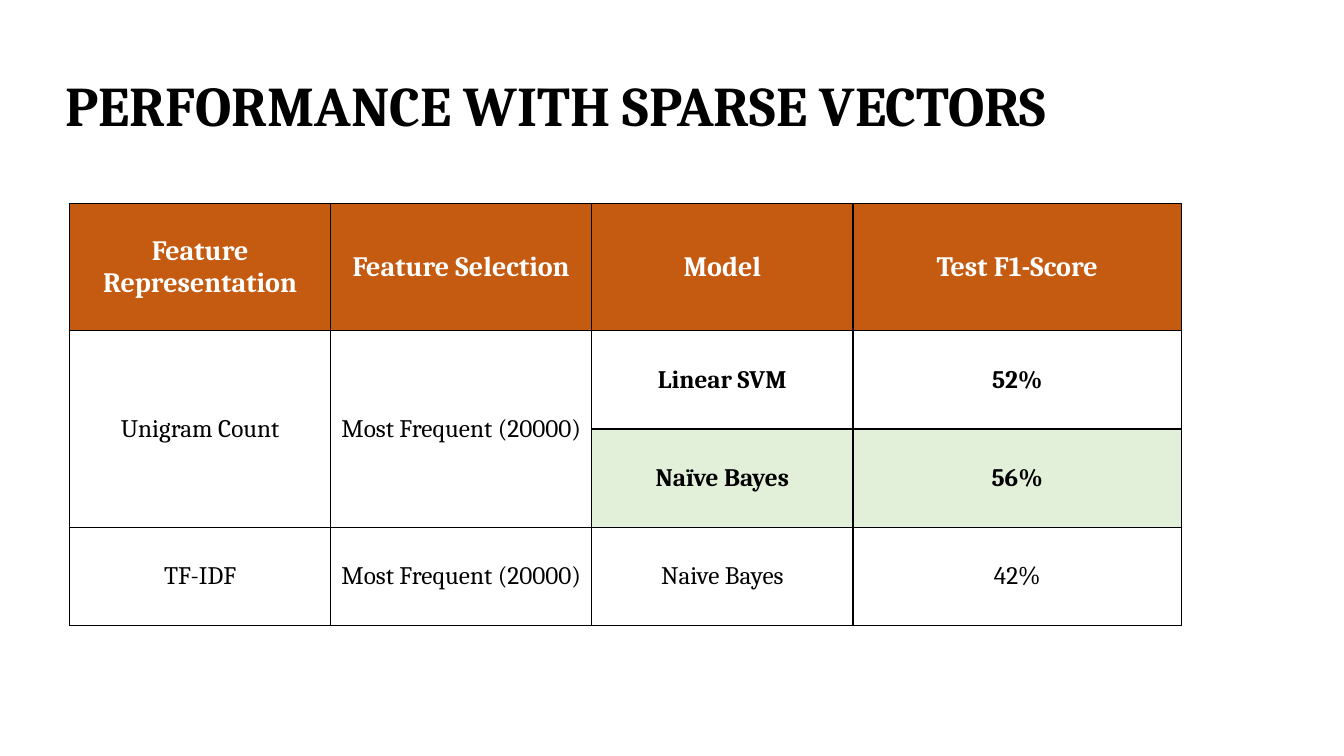
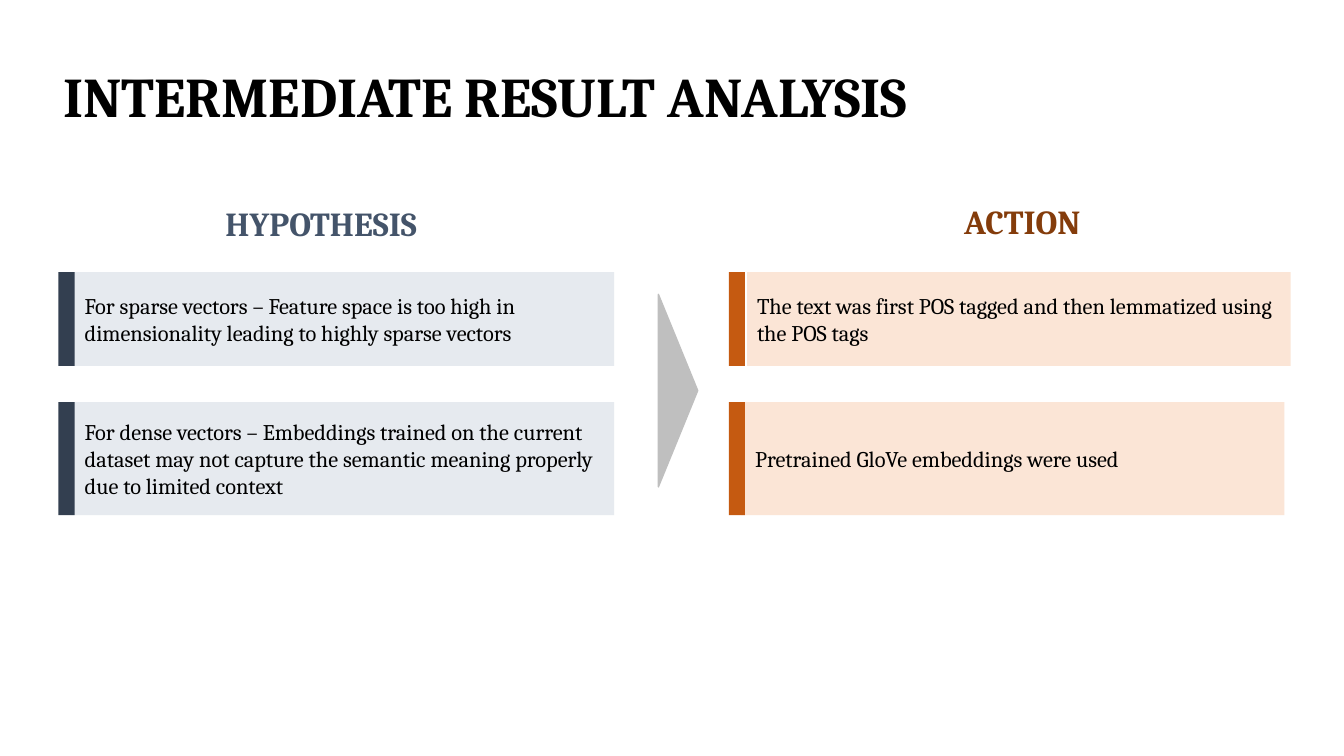
from lxml.etree import SubElement
from pptx import Presentation
from pptx.dml.color import RGBColor
from pptx.enum.shapes import MSO_SHAPE
from pptx.enum.text import MSO_ANCHOR, PP_ALIGN
from pptx.oxml.ns import qn
from pptx.util import Inches, Pt

FONT = "Cambria"
BLACK = RGBColor(0x00, 0x00, 0x00)
WHITE = RGBColor(0xFF, 0xFF, 0xFF)
ORANGE = RGBColor(0xC5, 0x5A, 0x11)
PALE_ORANGE = RGBColor(0xFB, 0xE5, 0xD6)
BROWN = RGBColor(0x84, 0x3C, 0x0B)
SLATE = RGBColor(0x44, 0x54, 0x6A)
DARK_SLATE = RGBColor(0x33, 0x3F, 0x50)
PALE_SLATE = RGBColor(0xE6, 0xEA, 0xEF)
PALE_GREEN = RGBColor(0xE2, 0xF0, 0xD9)
GREY = RGBColor(0xBF, 0xBF, 0xBF)

BAR_WIDTH = 0.16
PANEL_WIDTH = 5.39

HEADERS = ["Feature Representation", "Feature Selection", "Model", "Test F1-Score"]
RESULTS = [
    ["Unigram Count", "Most Frequent (20000)", "Linear SVM", "52%"],
    ["", "", "Naïve Bayes", "56%"],
    ["TF-IDF", "Most Frequent (20000)", "Naive Bayes", "42%"],
]


def write(text_frame, text, size, color=BLACK, bold=False, align=PP_ALIGN.LEFT):
    paragraph = text_frame.paragraphs[0]
    paragraph.alignment = align
    run = paragraph.add_run()
    run.text = text
    run.font.name = FONT
    run.font.size = Pt(size)
    run.font.bold = bold
    run.font.color.rgb = color
    return paragraph


def add_text(slide, box, text, size, color=BLACK, align=PP_ALIGN.LEFT):
    """Add a bold, vertically centred line of text."""
    text_frame = slide.shapes.add_textbox(*map(Inches, box)).text_frame
    text_frame.word_wrap = True
    text_frame.vertical_anchor = MSO_ANCHOR.MIDDLE
    return write(text_frame, text, size, color, True, align)


def add_title(slide, left, top, text):
    add_text(slide, (left, top, 11.5, 1.45), text, 40).line_spacing = 0.9


def add_block(slide, kind, box, color):
    shape = slide.shapes.add_shape(kind, *map(Inches, box))
    shape.shadow.inherit = False
    shape.fill.solid()
    shape.fill.fore_color.rgb = color
    shape.line.fill.background()
    return shape


def set_borders(cell, color=BLACK, width=Pt(1)):
    properties = cell._tc.get_or_add_tcPr()
    for side in ("a:lnL", "a:lnR", "a:lnT", "a:lnB"):
        line = SubElement(properties, qn(side), w=str(width))
        fill = SubElement(line, qn("a:solidFill"))
        SubElement(fill, qn("a:srgbClr"), val=str(color))


def style_cell(cell, fill):
    set_borders(cell)
    cell.vertical_anchor = MSO_ANCHOR.MIDDLE
    cell.margin_left = cell.margin_right = Inches(0.07)
    cell.margin_top = cell.margin_bottom = Inches(0.07)
    if fill is None:
        cell.fill.background()
    else:
        cell.fill.solid()
        cell.fill.fore_color.rgb = fill


def add_results_table(slide, left, top, width, height):
    rows = [HEADERS] + RESULTS
    header_height, column_width = 1.26, 2.59
    table = slide.shapes.add_table(
        len(rows), len(HEADERS), *map(Inches, (left, top, width, height))).table
    table.first_row = table.horz_banding = False

    last_width = width - column_width * (len(HEADERS) - 1)
    for index, column in enumerate(table.columns):
        is_last = index == len(HEADERS) - 1
        column.width = Inches(last_width if is_last else column_width)
    for index, row in enumerate(table.rows):
        body_height = (height - header_height) / len(RESULTS)
        row.height = Inches(body_height if index else header_height)

    body_fills = {1: WHITE, 2: PALE_GREEN}
    for row_index, texts in enumerate(rows):
        for column_index, text in enumerate(texts):
            cell = table.cell(row_index, column_index)
            is_header = row_index == 0
            is_unigram_score = row_index in body_fills and column_index >= 2
            fill = ORANGE if is_header else None
            if is_unigram_score:
                fill = body_fills[row_index]
            style_cell(cell, fill)
            if text:
                write(cell.text_frame, text, 20 if is_header else 18,
                      WHITE if is_header else BLACK,
                      is_header or is_unigram_score, PP_ALIGN.CENTER)
    for column_index in range(2):
        table.cell(1, column_index).merge(table.cell(2, column_index))


def add_statement(slide, bar_left, top, height, panel_gap, inset, colors, text):
    """Add a tinted panel with text and a dark bar at its left edge."""
    bar_color, panel_color = colors
    panel = add_block(slide, MSO_SHAPE.RECTANGLE,
                      (bar_left + panel_gap, top, PANEL_WIDTH, height), panel_color)
    text_frame = panel.text_frame
    text_frame.word_wrap = True
    text_frame.vertical_anchor = MSO_ANCHOR.MIDDLE
    text_frame.margin_left = Inches(inset)
    text_frame.margin_right = Inches(0.08)
    write(text_frame, text, 16)
    add_block(slide, MSO_SHAPE.RECTANGLE, (bar_left, top, BAR_WIDTH, height), bar_color)


def add_pointer(slide, left, top, width, height):
    """Add a triangle that points right and fills the given box."""
    turned_left = left + (width - height) / 2
    turned_top = top + (height - width) / 2
    triangle = add_block(slide, MSO_SHAPE.ISOSCELES_TRIANGLE,
                         (turned_left, turned_top, height, width), GREY)
    triangle.rotation = 90
    triangle.line.color.rgb = GREY
    triangle.line.width = Pt(1)


def build_performance(slide):
    add_title(slide, 0.55, 0.35, "PERFORMANCE WITH SPARSE VECTORS")
    add_results_table(slide, 0.69, 2.02, 11.03, 4.19)


def build_analysis(slide):
    add_title(slide, 0.53, 0.26, "INTERMEDIATE RESULT ANALYSIS")
    add_text(slide, (2, 1.96, 2.37, 0.5), "HYPOTHESIS", 24, SLATE, PP_ALIGN.CENTER)
    add_text(slide, (8.69, 1.94, 2.9, 0.5), "ACTION", 24, BROWN, PP_ALIGN.CENTER)
    add_pointer(slide, 6.53, 2.92, 0.39, 1.91)

    hypothesis = (DARK_SLATE, PALE_SLATE)
    action = (ORANGE, PALE_ORANGE)
    first_row, second_row = (2.7, 0.93), (3.99, 1.12)
    statements = [
        (0.58, first_row, 0.12, 0.14, hypothesis,
         "For sparse vectors – Feature space is too high in dimensionality "
         "leading to highly sparse vectors"),
        (7.23, first_row, 0.18, 0.1, action,
         "The text was first POS tagged and then lemmatized using the POS tags"),
        (0.58, second_row, 0.12, 0.14, hypothesis,
         "For dense vectors – Embeddings trained on the current dataset may not "
         "capture the semantic meaning properly due to limited context"),
        (7.23, second_row, 0.12, 0.14, action,
         "Pretrained GloVe embeddings were used"),
    ]
    for bar_left, (top, height), panel_gap, inset, colors, text in statements:
        add_statement(slide, bar_left, top, height, panel_gap, inset, colors, text)


def main():
    presentation = Presentation()
    presentation.slide_width = Inches(13.33)
    presentation.slide_height = Inches(7.5)
    blank = presentation.slide_layouts[6]
    for build in (build_performance, build_analysis):
        build(presentation.slides.add_slide(blank))
    presentation.save("out.pptx")


if __name__ == "__main__":
    main()
